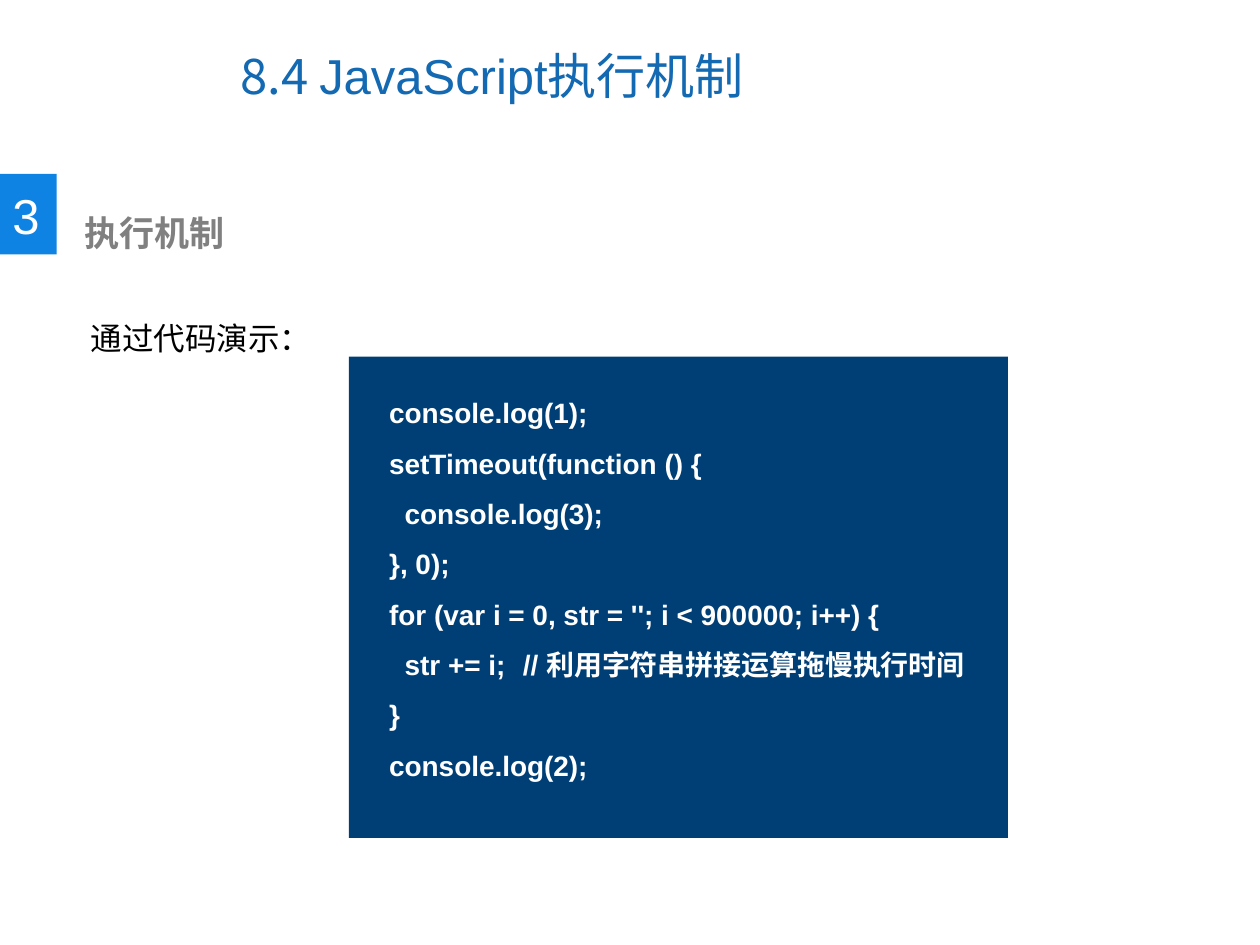
from lxml.etree import SubElement
from pptx import Presentation
from pptx.dml.color import RGBColor
from pptx.enum.shapes import MSO_SHAPE as Shape
from pptx.enum.text import MSO_ANCHOR as Anchor, MSO_AUTO_SIZE as AutoSize
from pptx.oxml.ns import qn
from pptx.util import Inches, Pt

LATIN = "Arial"
CHINESE = "Noto Sans CJK SC"
WHITE = "FFFFFF"

CODE_LINES = [
    "console.log(1);",
    "setTimeout(function () {",
    "  console.log(3);",
    "}, 0);",
    "for (var i = 0, str = ''; i < 900000; i++) {",
    "  str += i;\t // 利用字符串拼接运算拖慢执行时间",
    "}",
    "console.log(2);",
]


def color(hex_string):
    return RGBColor.from_string(hex_string)


def add_run(paragraph, text, size, hex_color, font=LATIN, bold=False):
    run = paragraph.add_run()
    run.text = text
    run.font.name = font
    run.font.size = Pt(size)
    run.font.bold = bold
    run.font.color.rgb = color(hex_color)
    # Chinese characters take the East Asian font
    east_asian = SubElement(run.font._element, qn("a:ea"))
    east_asian.set("typeface", CHINESE)


def add_text(shapes, box, paragraphs, spacing=1.0, wrap=True, anchor=Anchor.TOP):
    """Each paragraph is a list of runs: (text, size, color, font, bold)."""
    shape = shapes.add_textbox(*map(Inches, box))
    frame = shape.text_frame
    frame.word_wrap = wrap
    frame.auto_size = AutoSize.NONE
    frame.vertical_anchor = anchor
    for index, runs in enumerate(paragraphs):
        paragraph = frame.paragraphs[0] if index == 0 else frame.add_paragraph()
        paragraph.line_spacing = spacing
        for run in runs:
            add_run(paragraph, *run)


def add_block(shapes, box, hex_color):
    shape = shapes.add_shape(Shape.RECTANGLE, *map(Inches, box))
    shape.shadow.inherit = False
    shape.fill.solid()
    shape.fill.fore_color.rgb = color(hex_color)
    shape.line.fill.background()


def main():
    presentation = Presentation()
    presentation.slide_width = Inches(10)
    presentation.slide_height = Inches(7.5)
    slide = presentation.slides.add_slide(presentation.slide_layouts[6])
    shapes = slide.shapes

    # Section number
    badge = shapes.add_group_shape().shapes
    add_block(badge, (0, 1.38, 0.45, 0.64), "0F83E3")
    add_text(badge, (0, 1.42, 0.42, 0.57), [[("3", 28, WHITE)]], wrap=False)

    # Section heading and lead-in
    add_text(shapes, (0.57, 1.63, 5.04, 0.44),
             [[("执行机制", 20, "808080", CHINESE, True)]])
    add_text(shapes, (0.62, 2.18, 8.65, 0.61),
             [[("通过代码演示：", 18, "000000")]], spacing=2.0)

    # Title
    title_style = (28, "1369B2")
    add_text(shapes, (1.81, 0.17, 5.16, 0.85),
             [[("8.4 ", *title_style, CHINESE),
               ("JavaScript", *title_style),
               ("执行机制", *title_style, CHINESE)]], anchor=Anchor.MIDDLE)

    # Code panel
    panel = shapes.add_group_shape().shapes
    add_block(panel, (2.77, 2.83, 5.23, 3.82), "003F75")
    add_text(panel, (2.99, 2.96, 5.15, 3.33),
             [[(line, 16, WHITE, LATIN, True)] for line in CODE_LINES], spacing=1.5)

    presentation.save("out.pptx")


if __name__ == "__main__":
    main()
